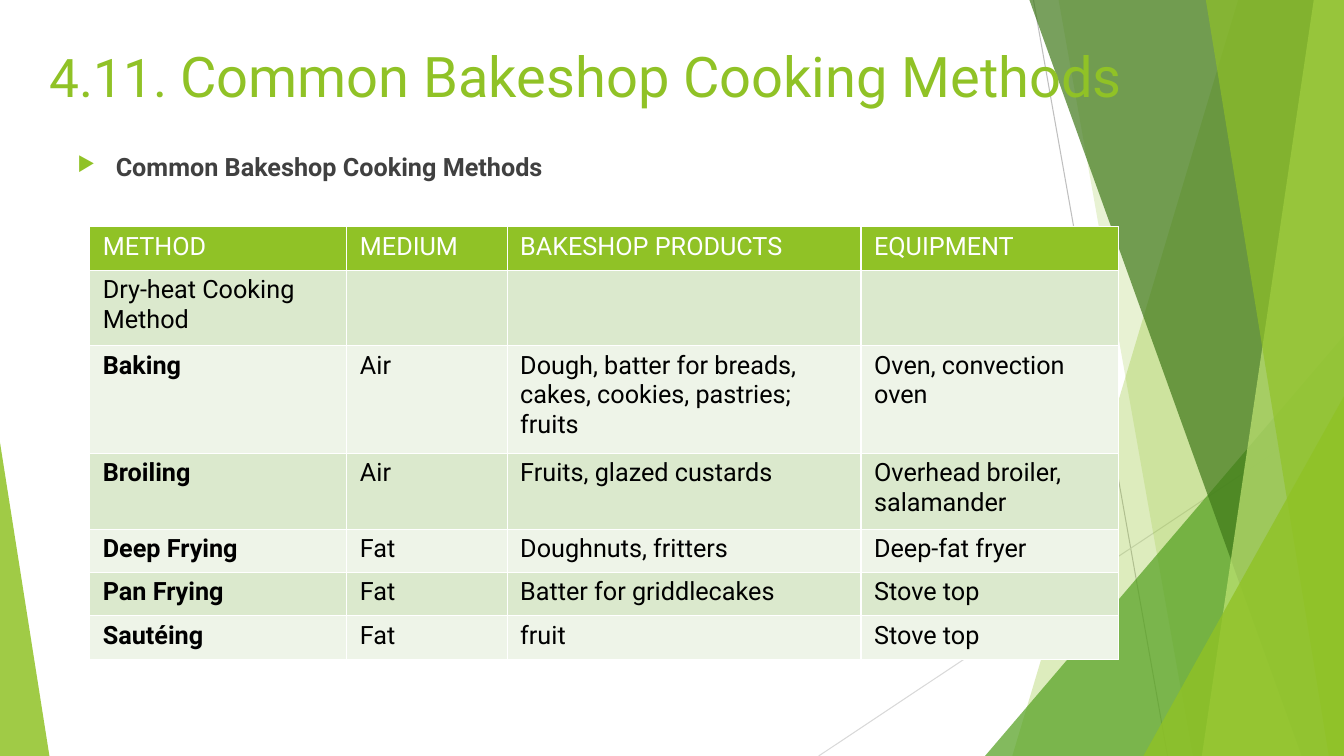
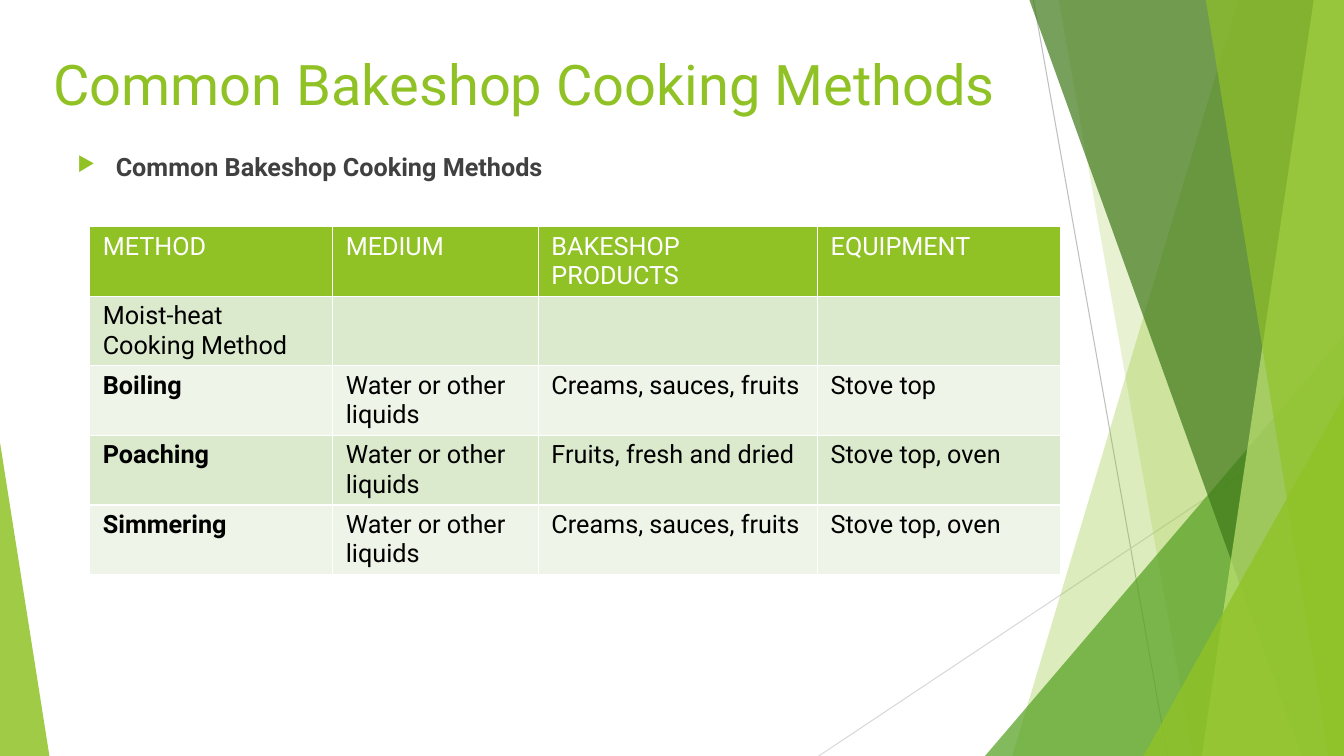
from dataclasses import dataclass

from lxml.etree import SubElement
from pptx import Presentation
from pptx.dml.color import RGBColor
from pptx.enum.shapes import MSO_CONNECTOR, MSO_SHAPE
from pptx.enum.text import MSO_ANCHOR, MSO_AUTO_SIZE, PP_ALIGN
from pptx.oxml import parse_xml
from pptx.oxml.ns import nsdecls, qn
from pptx.util import Inches, Pt


@dataclass(frozen=True)
class Theme:
    font: str = "Roboto"
    accent: str = "90C226"
    leaf: str = "54A021"
    forest: str = "3F7819"
    lime: str = "C0E474"
    body: str = "404040"
    cell_text: str = "000000"
    white: str = "FFFFFF"
    row_fills: tuple = ("DBE9CD", "EEF4E8")
    title_size: int = 40
    number_size: int = 38
    text_size: int = 18


THEME = Theme()
SLIDE_WIDTH, SLIDE_HEIGHT = 13.33, 7.5
HEADER = ("METHOD", "MEDIUM", "BAKESHOP PRODUCTS", "EQUIPMENT")
TOPIC = "Common Bakeshop Cooking Methods"

SLIDES = [
    {
        "title": [("4.11. ", THEME.number_size), (TOPIC, THEME.title_size)],
        "title_at": (0.39, 0.33),
        "columns": (2.55, 1.59, 3.51, 2.55),
        "row_heights": (0.43, 0.75, 1.07, 0.75, 0.43, 0.43, 0.43),
        "rows": [
            HEADER,
            ("Dry-heat Cooking Method", "", "", ""),
            ("Baking", "Air",
             "Dough, batter for breads, cakes, cookies, pastries; fruits",
             "Oven, convection oven"),
            ("Broiling", "Air", "Fruits, glazed custards",
             "Overhead broiler, salamander"),
            ("Deep Frying", "Fat", "Doughnuts, fritters", "Deep-fat fryer"),
            ("Pan Frying", "Fat", "Batter for griddlecakes", "Stove top"),
            ("Sautéing", "Fat", "fruit", "Stove top"),
        ],
    },
    {
        "title": [(TOPIC, THEME.title_size)],
        "title_at": (0.43, 0.41),
        "columns": (2.41, 2.04, 2.77, 2.41),
        "row_heights": (0.69,) * 5,
        "rows": [
            HEADER,
            ("Moist-heat Cooking Method", "", "", ""),
            ("Boiling", "Water or other liquids", "Creams, sauces, fruits",
             "Stove top"),
            ("Poaching", "Water or other liquids", "Fruits, fresh and dried",
             "Stove top, oven"),
            ("Simmering", "Water or other liquids", "Creams, sauces, fruits",
             "Stove top, oven"),
        ],
    },
]

# Start, end and colour of each thin line
RAYS = [
    ((10.25, 0), (11.58, SLIDE_HEIGHT), "BFBFBF"),
    ((SLIDE_WIDTH, 4.03), (8.12, SLIDE_HEIGHT), "D9D9D9"),
]
# Bands: top x, bottom x. Triangles: left, top, width, apex. Then colour, opacity %.
FACETS = [
    ("band", (12.28, 10.04), THEME.accent, 30),
    ("band", (10.5, 11.83), THEME.accent, 20),
    ("triangle", (9.77, 3.33, 3.56, 1), THEME.leaf, 72),
    ("band", (10.21, 12.91), THEME.forest, 70),
    ("band", (13.03, 11.92), THEME.lime, 70),
    ("band", (11.96, 13.18), THEME.accent, 65),
    ("triangle", (11.34, 3.93, 1.99, 1), THEME.accent, 80),
    ("triangle", (0, 4.39, 0.49, 0), THEME.accent, 85),
]


def color(value):
    return RGBColor.from_string(value)


def format_run(run, size, text_color, bold=False):
    run.font.name = THEME.font
    run.font.size = Pt(size)
    run.font.bold = bold
    run.font.color.rgb = color(text_color)


def prepare_frame(text_frame):
    text_frame.word_wrap = True
    text_frame.auto_size = MSO_AUTO_SIZE.NONE
    text_frame.vertical_anchor = MSO_ANCHOR.TOP
    text_frame.margin_top = Inches(0.08)


def add_ray(shapes, start, end, line_color):
    points = [Inches(value) for value in (*start, *end)]
    ray = shapes.add_connector(MSO_CONNECTOR.STRAIGHT, *points)
    ray.line.color.rgb = color(line_color)
    ray.line.width = Pt(0.75)
    SubElement(ray.element.spPr, qn("a:effectLst"))


def add_band(shapes, top_x, bottom_x):
    """Draw a full-height band that reaches the right edge of the slide."""
    outline = [(top_x, 0), (SLIDE_WIDTH, 0),
               (SLIDE_WIDTH, SLIDE_HEIGHT), (bottom_x, SLIDE_HEIGHT)]
    points = [(Inches(x), Inches(y)) for x, y in outline]
    builder = shapes.build_freeform(*points[0])
    builder.add_line_segments(points[1:], close=True)
    return builder.convert_to_shape()


def add_triangle(shapes, left, top, width, apex):
    """Draw a right triangle that stands on the bottom edge of the slide."""
    triangle = shapes.add_shape(
        MSO_SHAPE.ISOSCELES_TRIANGLE, Inches(left), Inches(top),
        Inches(width), Inches(SLIDE_HEIGHT - top))
    triangle.adjustments[0] = apex
    return triangle


def add_backdrop(slide):
    """Build the facets as one group and hand it to the slide's layout."""
    group = slide.shapes.add_group_shape()
    for ray in RAYS:
        add_ray(group.shapes, *ray)
    builders = {"band": add_band, "triangle": add_triangle}
    for kind, geometry, fill_color, opacity in FACETS:
        facet = builders[kind](group.shapes, *geometry)
        facet.shadow.inherit = False
        facet.line.fill.background()
        facet.fill.solid()
        facet.fill.fore_color.rgb = color(fill_color)
        fill_value = facet.element.spPr.find(qn("a:solidFill"))[0]
        SubElement(fill_value, qn("a:alpha"), val=str(opacity * 1000))
    for number, properties in enumerate(group.element.iter(qn("p:cNvPr")), 100):
        properties.set("id", str(number))
    slide.slide_layout.shapes.element.insert(2, group.element)


def set_title(slide, parts, position):
    title = slide.shapes.title
    title.left, title.top = (Inches(value) for value in position)
    title.width, title.height = Inches(12.22), Inches(0.87)
    prepare_frame(title.text_frame)
    paragraph = title.text_frame.paragraphs[0]
    paragraph.alignment = PP_ALIGN.LEFT
    for text, size in parts:
        run = paragraph.add_run()
        run.text = text
        format_run(run, size, THEME.accent)


def add_topic(slide):
    box = slide.shapes.add_textbox(
        Inches(0.67), Inches(1.42), Inches(12), Inches(5.5))
    prepare_frame(box.text_frame)
    box.text_frame.text = TOPIC
    paragraph = box.text_frame.paragraphs[0]
    paragraph.space_before = Pt(10)
    format_run(paragraph.runs[0], THEME.text_size, THEME.body, bold=True)
    properties = next(box.element.iter(qn("a:pPr")))
    indent = Inches(0.38)
    properties.set("marL", str(indent))
    properties.set("indent", str(-indent))
    bullet_color = SubElement(properties, qn("a:buClr"))
    SubElement(bullet_color, qn("a:srgbClr"), val=THEME.accent)
    SubElement(properties, qn("a:buSzPct"), val="80000")
    SubElement(properties, qn("a:buChar"), char="▶")


def add_borders(frame):
    for properties in frame.element.iter(qn("a:tcPr")):
        for index, side in enumerate("LRTB"):
            properties.insert(index, parse_xml(
                f'<a:ln{side} {nsdecls("a")} w="{Pt(1)}"><a:solidFill>'
                f'<a:srgbClr val="{THEME.white}"/></a:solidFill></a:ln{side}>'))


def add_methods_table(slide, rows, columns, row_heights):
    frame = slide.shapes.add_table(
        len(rows), len(columns), Inches(0.89), Inches(2.25),
        Inches(sum(columns)), Inches(sum(row_heights)))
    table = frame.table
    for column, width in zip(table.columns, columns):
        column.width = Inches(width)
    for row, height in zip(table.rows, row_heights):
        row.height = Inches(height)
    for row_index, texts in enumerate(rows):
        is_header = row_index == 0
        fill_color = THEME.accent if is_header else THEME.row_fills[(row_index - 1) % 2]
        text_color = THEME.white if is_header else THEME.cell_text
        for column_index, text in enumerate(texts):
            cell = table.cell(row_index, column_index)
            cell.margin_left = cell.margin_right = Inches(0.13)
            cell.margin_top = cell.margin_bottom = Inches(0.05)
            cell.fill.solid()
            cell.fill.fore_color.rgb = color(fill_color)
            if text:
                cell.text_frame.text = text
                is_method = column_index == 0 and row_index > 1
                format_run(cell.text_frame.paragraphs[0].runs[0],
                           THEME.text_size, text_color, bold=is_method)
    add_borders(frame)


def main():
    presentation = Presentation()
    presentation.slide_width = Inches(SLIDE_WIDTH)
    presentation.slide_height = Inches(SLIDE_HEIGHT)
    title_only = presentation.slide_layouts.get_by_name("Title Only")
    for index, content in enumerate(SLIDES):
        slide = presentation.slides.add_slide(title_only)
        if index == 0:
            add_backdrop(slide)
        set_title(slide, content["title"], content["title_at"])
        add_topic(slide)
        add_methods_table(
            slide, content["rows"], content["columns"], content["row_heights"])
    presentation.save("out.pptx")


if __name__ == "__main__":
    main()
